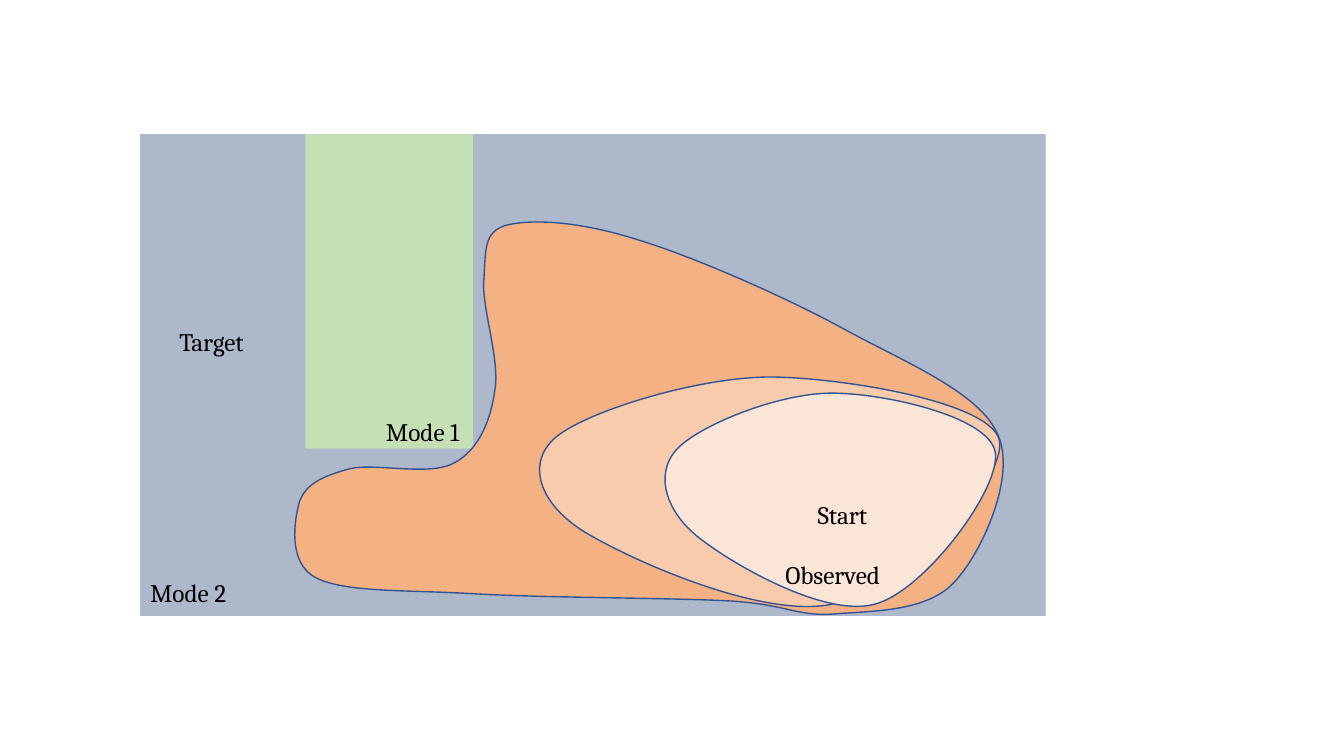
from lxml import etree
from pptx import Presentation
from pptx.dml.color import RGBColor
from pptx.enum.shapes import MSO_SHAPE
from pptx.oxml.ns import qn
from pptx.util import Inches, Pt

RECT = MSO_SHAPE.RECTANGLE
BLUE = RGBColor(0xAD, 0xB9, 0xCA)
GREEN = RGBColor(0xC5, 0xE0, 0xB4)
DEEP = RGBColor(0xF4, 0xB1, 0x83)
MID = RGBColor(0xF8, 0xCB, 0xAD)
PALE = RGBColor(0xFB, 0xE5, 0xD6)
EDGE = RGBColor(0x32, 0x54, 0x91)
BLACK = RGBColor(0, 0, 0)
COLS = 1333

deck = Presentation()
deck.slide_width = Inches(13.33)
deck.slide_height = Inches(7.5)
cell = deck.slide_width / COLS
slide = deck.slides.add_slide(deck.slide_layouts[6])
shapes = slide.shapes


def label(text, left, top, wide):
    box = shapes.add_textbox(*[round(v * cell) for v in (left, top, wide, 40)])
    box.text_frame.word_wrap = True
    run = box.text_frame.paragraphs[0].add_run()
    run.text = text
    run.font.name = "Cambria"
    run.font.size = Pt(18)
    run.font.color.rgb = BLACK


def step(route, tag, knots, left, top):
    part = etree.SubElement(route, qn(tag))
    for x, y in knots:
        etree.SubElement(part, qn("a:pt"), x=str(x - left), y=str(y - top))


for area, fill in [((139, 133, 898, 478), BLUE), ((303, 133, 166, 312), GREEN)]:
    zone = shapes.add_shape(RECT, *[round(v * cell) for v in area])
    zone.shadow.inherit = False
    zone.fill.solid()
    zone.fill.fore_color.rgb = fill
    zone.line.fill.background()

for name, left, top in [("Mode 1", 373, 408), ("Mode 2", 139, 568),
                        ("Target", 168, 319)]:
    label(name, left, top, 122)

outer = [
    (480, 276), (477, 303), (496, 356), (491, 386),
    (487, 417), (475, 446), (451, 459), (427, 473), (372, 459), (347, 465),
    (321, 472), (303, 480), (297, 498), (292, 516), (285, 558), (313, 573),
    (342, 588), (401, 585), (469, 589), (536, 593), (660, 593), (720, 596),
    (780, 599), (790, 612), (828, 609), (866, 606), (920, 607), (947, 577),
    (974, 548), (1008, 473), (990, 432), (973, 390), (899, 360), (840, 328),
    (780, 295), (689, 255), (633, 238), (577, 220), (530, 217), (504, 223),
    (479, 229), (482, 249), (480, 276)]
middle = [
    (551, 434), (582, 408), (692, 374), (765, 374),
    (839, 375), (981, 399), (991, 436), (1001, 474), (895, 584), (827, 599),
    (759, 615), (629, 557), (582, 529), (535, 501), (521, 460), (551, 434)]
inner = [
    (671, 446), (693, 422), (772, 390), (825, 390),
    (877, 390), (980, 413), (987, 448), (994, 483), (918, 585), (869, 599),
    (820, 614), (727, 560), (694, 534), (660, 508), (649, 470), (671, 446)]

for knots, area, fill in [(outer, (292, 220, 703, 389), DEEP),
                          (middle, (535, 374, 456, 227), MID),
                          (inner, (660, 390, 328, 212), PALE)]:
    left, top, wide, high = area
    frame = shapes.build_freeform(left, top, scale=cell)
    frame.add_line_segments([(left + wide, top), (left + wide, top + high)])
    blob = frame.convert_to_shape()
    route = blob._element.find(".//" + qn("a:path"))
    for part in list(route):
        route.remove(part)
    step(route, "a:moveTo", knots[:1], left, top)
    for i in range(1, len(knots), 3):
        step(route, "a:cubicBezTo", knots[i:i + 3], left, top)
    etree.SubElement(route, qn("a:close"))
    blob.shadow.inherit = False
    blob.fill.solid()
    blob.fill.fore_color.rgb = fill
    blob.line.color.rgb = EDGE
    blob.line.width = Pt(1)

label("Start", 801, 490, 112)
label("Observed", 769, 550, 205)

deck.save("out.pptx")
